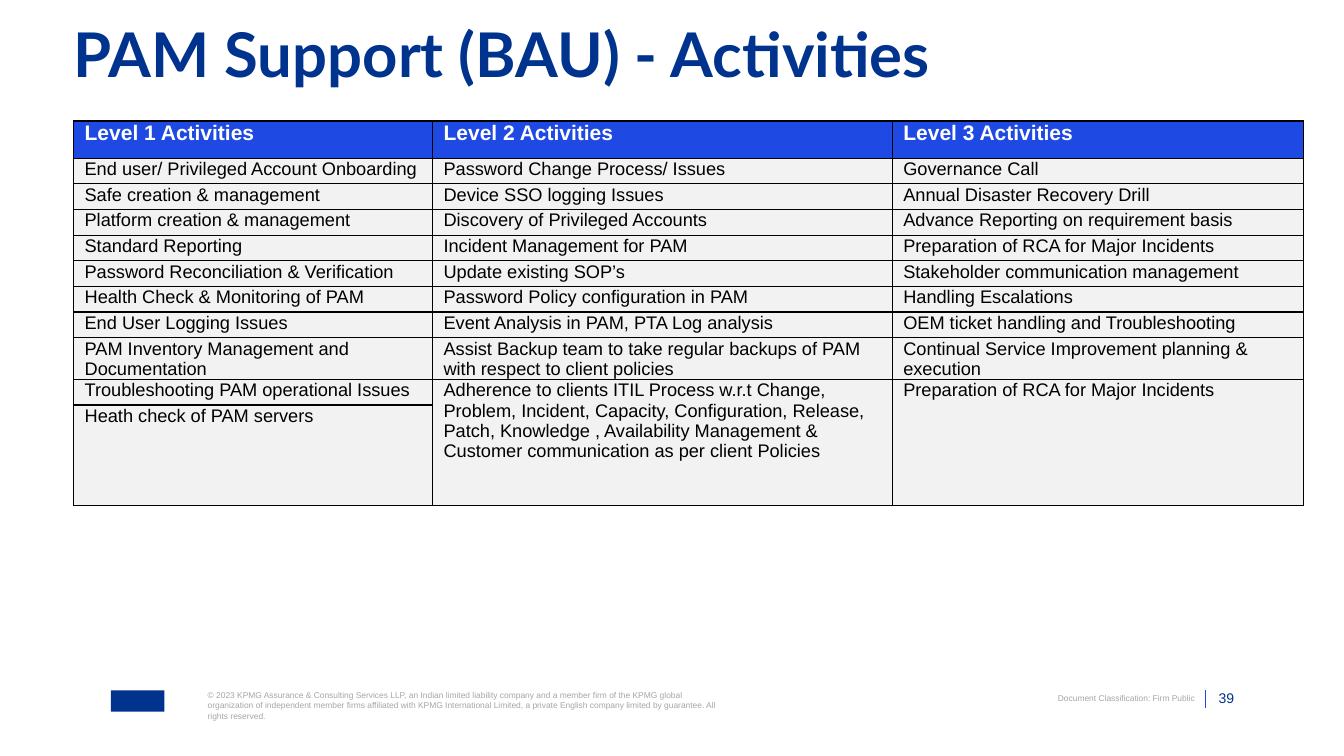
"""Build the PAM support activities slide."""
from lxml.etree import SubElement
from pptx import Presentation
from pptx.dml.color import RGBColor
from pptx.enum.shapes import MSO_CONNECTOR, MSO_SHAPE
from pptx.enum.text import MSO_ANCHOR, PP_ALIGN
from pptx.oxml import parse_xml
from pptx.oxml.ns import nsdecls, qn
from pptx.util import Inches, Pt

COLORS = {"navy": "00338D", "blue": "1E49E2", "grey": "A6A6A6",
          "cell": "F2F2F2", "white": "FFFFFF", "black": "000000"}
HEADERS = ["Level 1 Activities", "Level 2 Activities", "Level 3 Activities"]
ACTIVITIES = [
    ["End user/ Privileged Account Onboarding", "Password Change Process/ Issues", "Governance Call"],
    ["Safe creation & management", "Device SSO logging Issues", "Annual Disaster Recovery Drill"],
    ["Platform creation & management", "Discovery of Privileged Accounts",
     "Advance Reporting on requirement basis"],
    ["Standard Reporting", "Incident Management for PAM", "Preparation of RCA for Major Incidents"],
    ["Password Reconciliation & Verification", "Update existing SOP’s",
     "Stakeholder communication management"],
    ["Health Check & Monitoring of PAM", "Password Policy configuration in PAM", "Handling Escalations"],
    ["End User Logging Issues", "Event Analysis in PAM, PTA Log analysis",
     "OEM ticket handling and Troubleshooting"],
    ["PAM Inventory Management and Documentation",
     "Assist Backup team to take regular backups of PAM with respect to client policies",
     "Continual Service Improvement planning & execution"],
    ["Troubleshooting PAM operational Issues",
     "Adherence to clients ITIL Process w.r.t Change, Problem, Incident, Capacity, Configuration, "
     "Release, Patch, Knowledge , Availability Management & Customer communication as per client Policies",
     "Preparation of RCA for Major Incidents"],
    ["Heath check of PAM servers", "", ""],
]
FOOTERS = [
    ("© 2023 KPMG Assurance & Consulting Services LLP, an Indian limited liability company and a member "
     "firm of the KPMG global organization of independent member firms affiliated with KPMG International "
     "Limited, a private English company limited by guarantee. All rights reserved.",
     (2.06, 6.85, 5.06, 0.3), 6, "grey", PP_ALIGN.LEFT, MSO_ANCHOR.TOP),
    ("Document Classification: Firm Public",
     (9.81, 6.88, 2.04, 0.1), 6, "grey", PP_ALIGN.RIGHT, MSO_ANCHOR.TOP),
    ("39", (11.97, 6.85, 0.27, 0.16), 10, "navy", PP_ALIGN.RIGHT, MSO_ANCHOR.BOTTOM),
]


def rgb(name):
    return RGBColor.from_string(COLORS[name])


def format_text(tf, font, size, color, bold=False):
    for p in tf.paragraphs:
        for r in p.runs:
            r.font.name = font
            r.font.size = Pt(size)
            r.font.bold = bold
            r.font.color.rgb = rgb(color)


prs = Presentation()
prs.slide_width, prs.slide_height = Inches(13.33), Inches(7.5)
s = prs.slides.add_slide(prs.slide_layouts[5])

title = s.shapes.title
title.left, title.top, title.width, title.height = map(Inches, (0.73, 0.29, 10.15, 0.58))
tf = title.text_frame
tf.text = "PAM Support (BAU) - Activities"
tf.margin_left = tf.margin_top = tf.margin_right = tf.margin_bottom = 0
tf.vertical_anchor = MSO_ANCHOR.BOTTOM
tf.paragraphs[0].alignment = PP_ALIGN.LEFT
tf.paragraphs[0].line_spacing = 0.7
format_text(tf, "Lato", 44, "navy", True)

rows = [HEADERS] + ACTIVITIES
table = s.shapes.add_table(len(rows), 3, Inches(0.73), Inches(1.2), Inches(12.2), Inches(3.66)).table
for col, width in zip(table.columns, (3.56, 4.56, 4.08)):
    col.width = Inches(width)
for row in table.rows:
    row.height = Inches(2.29 / 9)
table.rows[0].height = Inches(0.37)
table.rows[len(rows) - 1].height = Inches(1)
for i, texts in enumerate(rows):
    for j, text in enumerate(texts):
        cell = table.cell(i, j)
        cell.margin_left = cell.margin_top = cell.margin_right = Inches(0.01)
        cell.margin_bottom = 0
        tcPr = cell._tc.get_or_add_tcPr()
        for side in ("lnL", "lnR", "lnT", "lnB"):
            tcPr.append(parse_xml(
                f'<a:{side} {nsdecls("a")} w="12700"><a:solidFill>'
                f'<a:srgbClr val="{COLORS["black"]}"/></a:solidFill></a:{side}>'))
        cell.fill.solid()
        cell.fill.fore_color.rgb = rgb("cell" if i else "blue")
        if text:
            cell.text_frame.text = text
            pPr = cell.text_frame.paragraphs[0]._p.get_or_add_pPr()
            pPr.set("marL", str(Inches(0.1)))
            if i:
                format_text(cell.text_frame, "Arial", 13, "black")
            else:
                format_text(cell.text_frame, "Arial", 15, "white", True)
for j in (1, 2):
    table.cell(9, j).merge(table.cell(10, j))

for text, box, size, color, align, anchor in FOOTERS:
    tf = s.shapes.add_textbox(*map(Inches, box)).text_frame
    tf.word_wrap = True
    tf.margin_left = tf.margin_top = tf.margin_right = tf.margin_bottom = 0
    tf.vertical_anchor = anchor
    tf.text = text
    tf.paragraphs[0].alignment = align
    format_text(tf, "Arial", size, color)

divider = s.shapes.add_connector(MSO_CONNECTOR.STRAIGHT, Inches(11.95), Inches(6.85),
                                 Inches(11.95), Inches(7.02))
divider.line.color.rgb = rgb("blue")
divider.line.width = Pt(0.5)
SubElement(divider._element.spPr, qn("a:effectLst"))

mark = s.shapes.add_shape(MSO_SHAPE.RECTANGLE, Inches(1.1), Inches(6.85), Inches(0.53), Inches(0.21))
mark.shadow.inherit = False
mark.fill.solid()
mark.fill.fore_color.rgb = rgb("navy")
mark.line.fill.background()

prs.save("out.pptx")
